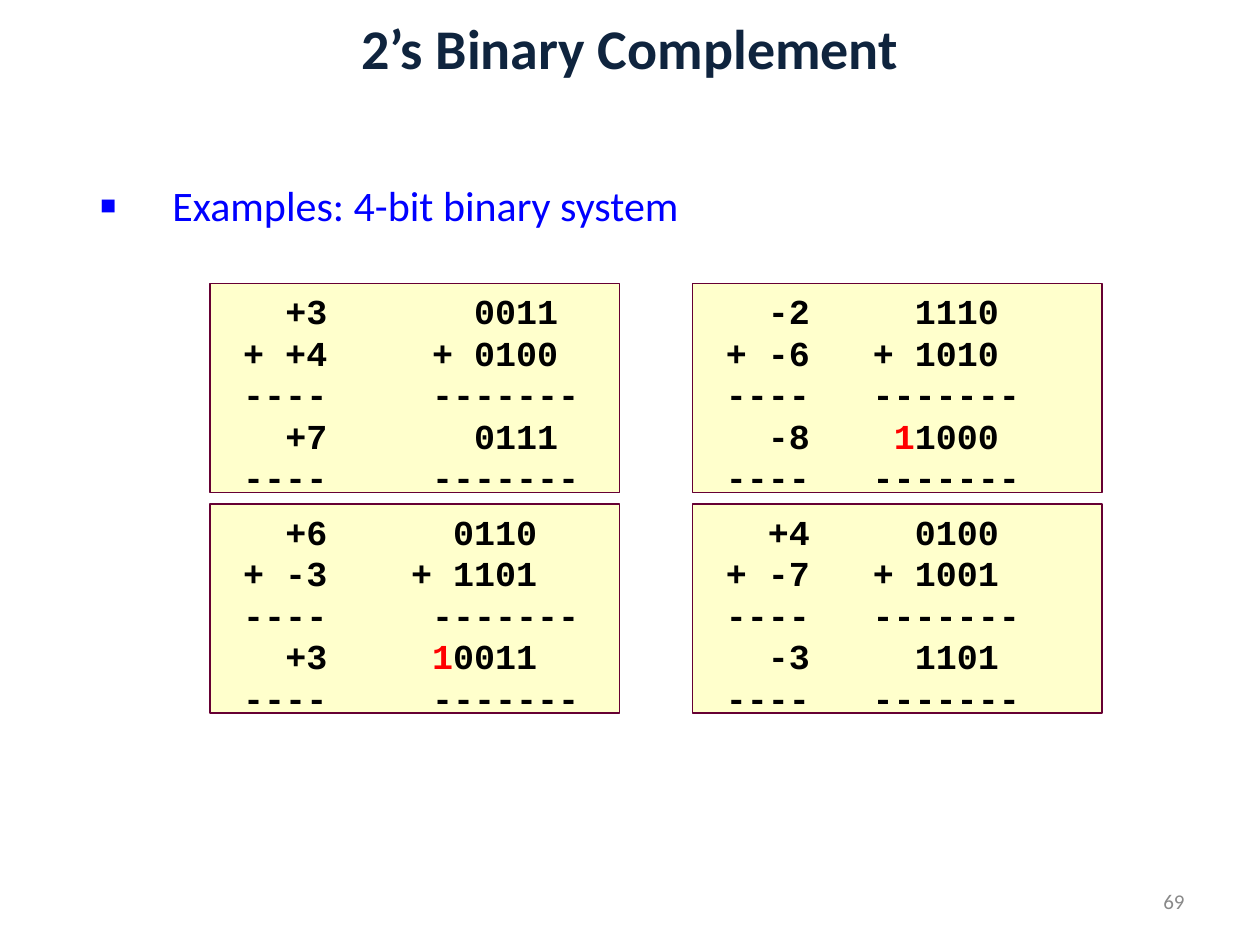
from lxml import etree
from pptx import Presentation
from pptx.dml.color import RGBColor
from pptx.enum.shapes import MSO_SHAPE
from pptx.enum.text import MSO_ANCHOR, PP_ALIGN
from pptx.oxml.ns import qn
from pptx.util import Inches, Pt

RECT = MSO_SHAPE.RECTANGLE
TOP, MIDDLE = MSO_ANCHOR.TOP, MSO_ANCHOR.MIDDLE
LEFT, CENTER, RIGHT = PP_ALIGN.LEFT, PP_ALIGN.CENTER, PP_ALIGN.RIGHT
WIDE, HIGH = 10, 7.5
CHAR = 1 / 6
SUMS = [
    [(("+3", "+4", "+7"), ("0011", "0100", "0111"), "", 16, 17),
     (("-2", "-6", "-8"), ("1110", "1010", "1000"), "1", 14, 15)],
    [(("+6", "-3", "+3"), ("0110", "1101", "0011"), "1", 15, 17),
     (("+4", "-7", "-3"), ("0100", "1001", "1101"), "", 14, 15)],
]


def color(code):
    """Turn a hex string into a colour."""
    return RGBColor.from_string(code)


def style(run, face, size, code, bold=False):
    """Set the font of a run."""
    run.font.name, run.font.size, run.font.bold = face, Pt(size), bold
    run.font.color.rgb = color(code)


def add_tabs(para, ends):
    """Add right-aligned tab stops, counted in characters."""
    tabs = etree.SubElement(para._p.get_or_add_pPr(), qn("a:tabLst"))
    for end in ends:
        etree.SubElement(tabs, qn("a:tab"), pos=str(Inches(end * CHAR)), algn="r")


def add_bullet(para, sign, indent):
    """Give a paragraph a hanging bullet."""
    props = para._p.get_or_add_pPr()
    props.set("marL", str(Inches(indent)))
    props.set("indent", str(-Inches(indent)))
    etree.SubElement(props, qn("a:buSzPct"), val="120000")
    etree.SubElement(props, qn("a:buFont"), typeface="Calibri")
    etree.SubElement(props, qn("a:buChar"), char=sign)


def add_label(slide, box, text, size, code, align=LEFT, anchor=MIDDLE, bold=False):
    """Place one line of text in a box and return its paragraph."""
    frame = slide.shapes.add_textbox(*map(Inches, box)).text_frame
    frame.word_wrap, frame.vertical_anchor = True, anchor
    frame.text = text
    para = frame.paragraphs[0]
    para.alignment = align
    style(para.runs[0], "Calibri", size, code, bold)
    return para


def add_topic(slide, box, text):
    """Place the bulleted topic line."""
    para = add_label(slide, box, text, 24, "0000FF", anchor=TOP)
    para.line_spacing = 0.9
    add_bullet(para, "▪", 0.58)


def add_sum(slide, box, nums, bits, carry, edge, rule):
    """Place one worked addition in decimal and binary."""
    card = slide.shapes.add_shape(RECT, *map(Inches, box))
    card.shadow.inherit = False
    card.fill.solid()
    card.fill.fore_color.rgb = color("FFFFCC")
    card.line.color.rgb = color("660033")
    card.line.width = Pt(1)
    frame = card.text_frame
    frame.word_wrap, frame.vertical_anchor = True, TOP
    frame.margin_top = Inches(0.1)
    dash = ("\t----\t-------", rule)
    rows = [(f"\t{nums[0]}\t{bits[0]}", edge),
            (f"\t+ {nums[1]}\t+ {bits[1]}", edge), dash,
            (f"\t{nums[2]}\t", edge), dash]
    frame.text = "\n".join(text for text, end in rows)
    for index, (para, (text, end)) in enumerate(zip(frame.paragraphs, rows)):
        para.alignment, para.line_spacing = LEFT, 0.85
        if index:
            para.space_before = Pt(3.3)
        add_tabs(para, (5, end))
    total = frame.paragraphs[3]
    for part in filter(None, (carry, bits[2])):
        total.add_run().text = part
    for para in frame.paragraphs:
        for run in para.runs:
            style(run, "Courier New", 20, "000000", True)
    if carry:
        total.runs[1].font.color.rgb = color("FF0000")


def add_grid(slide, box, wide, high):
    """Place the additions in a grid that fills the box."""
    left, top, width, height = box
    for row, line in enumerate(SUMS):
        for col, item in enumerate(line):
            x = left + col * (width - wide)
            y = top + row * (height - high)
            add_sum(slide, (x, y, wide, high), *item)


def main():
    """Build the slide and save it."""
    deck = Presentation()
    deck.slide_width, deck.slide_height = Inches(WIDE), Inches(HIGH)
    slide = deck.slides.add_slide(deck.slide_layouts[6])
    add_label(slide, (0, 0, WIDE, HIGH / 10), "2’s Binary Complement",
              32, "0F243E", CENTER, bold=True)
    add_topic(slide, (0.69, 1.42, 8.7, 0.6), "Examples: 4-bit binary system")
    add_grid(slide, (WIDE / 6, HIGH * 0.3, 7.08, 3.41), 3.25, 1.66)
    add_label(slide, (7.17, 6.95, 2.33, 0.4), "69", 12, "898989", RIGHT)
    deck.save("out.pptx")


if __name__ == "__main__":
    main()
